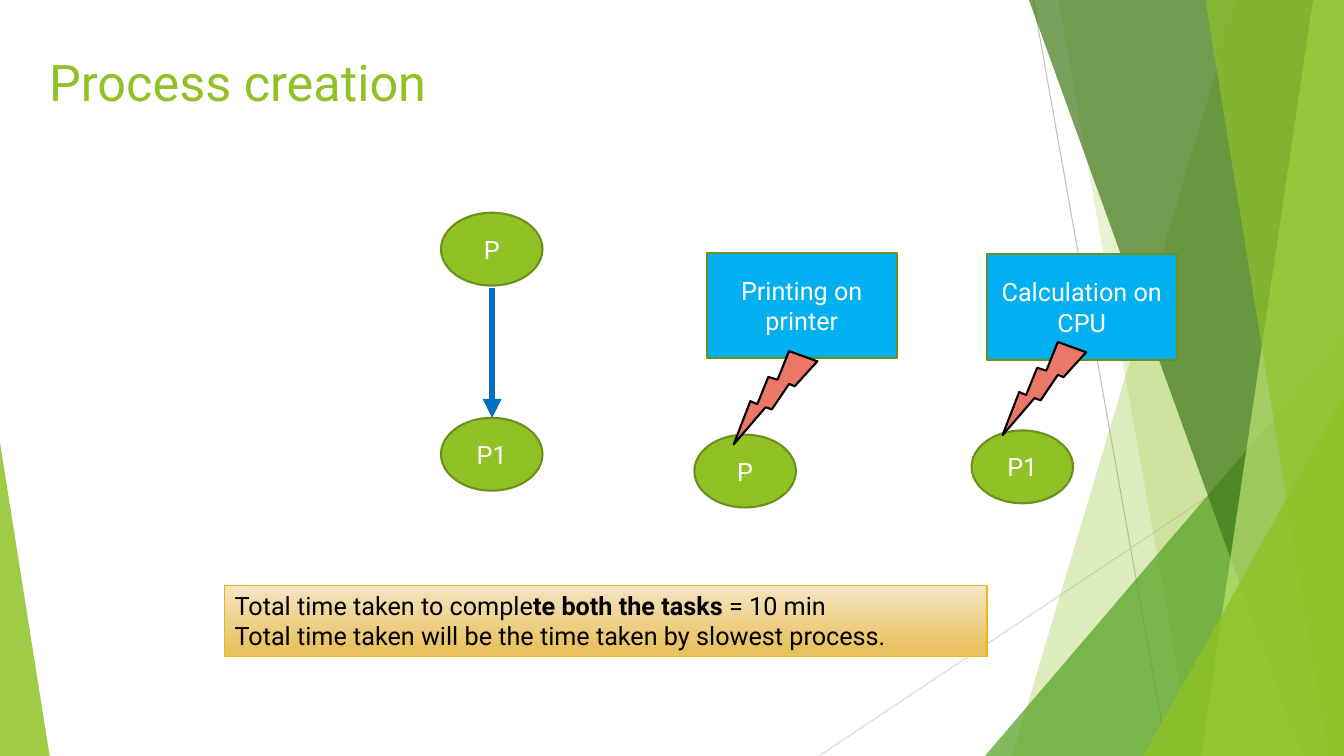
from lxml.etree import SubElement
from pptx import Presentation
from pptx.dml.color import RGBColor
from pptx.enum.shapes import MSO_CONNECTOR as LINK, MSO_SHAPE as KIND
from pptx.enum.text import MSO_ANCHOR as ANCHOR, MSO_AUTO_SIZE as FIT, PP_ALIGN as ALIGN
from pptx.oxml.ns import qn
from pptx.util import Pt

WIDTH, HEIGHT = 960, 540
GREEN, DARK_GREEN, BLUE, WHITE, BLACK = "90C226", "6B901C", "00B0F0", "FFFFFF", "000000"
color = RGBColor.from_string


def paint(shape, fill, line=None, alpha=100):
    shape.shadow.inherit = False
    shape.fill.solid()
    shape.fill.fore_color.rgb = color(fill)
    if alpha < 100:
        tint = shape.fill._xPr.find(f".//{qn('a:srgbClr')}")
        SubElement(tint, qn("a:alpha"), val=str(alpha * 1000))
    if line:
        shape.line.color.rgb = color(line)
        shape.line.width = Pt(1.5)
    else:
        shape.line.fill.background()


def write(shape, paragraphs, ink, size=18, align=ALIGN.CENTER, anchor=ANCHOR.MIDDLE):
    frame = shape.text_frame
    for name, value in {"word_wrap": True, "vertical_anchor": anchor}.items():
        setattr(frame, name, value)
    for index, pieces in enumerate(paragraphs):
        paragraph = frame.add_paragraph() if index else frame.paragraphs[0]
        paragraph.alignment = align
        for words, bold in pieces:
            run = paragraph.add_run()
            run.text = words
            run.font.color.rgb = color(ink)
            for name, value in {"name": "Roboto", "size": Pt(size), "bold": bold}.items():
                setattr(run.font, name, value)


deck = Presentation()
deck.slide_width, deck.slide_height = Pt(WIDTH), Pt(HEIGHT)
slide = deck.slides.add_slide(deck.slide_layouts[6])
shapes = slide.shapes

# Thin background lines, then the arrow from parent to child, kept for later
for x1, y1, x2, y2, ink in [(738, 0, 834, HEIGHT, "BFBFBF"), (WIDTH, 290, 585, HEIGHT, "D9D9D9")]:
    ray = shapes.add_connector(LINK.STRAIGHT, Pt(x1), Pt(y1), Pt(x2), Pt(y2))
    ray.line.color.rgb = color(ink)
    ray.line.width = Pt(0.75)
    SubElement(ray._element.spPr, qn("a:effectLst"))

# Background facets: bands by top and bottom x, triangles by box and apex
facets = [
    ("band", (884, 723), GREEN, 30),
    ("band", (756, 852), GREEN, 20),
    ("triangle", (703.5, 240, 256.5, 300, 1), "54A021", 72),
    ("band", (735, 929.5), "3F7819", 70),
    ("band", (938, 858), "C0E474", 70),
    ("band", (861, 949), GREEN, 65),
    ("triangle", (816.5, 283, 143.5, 257, 1), GREEN, 80),
    ("triangle", (0, 316, 35.5, 224, 0), GREEN, 85),
]
for kind, outline, fill, alpha in facets:
    if kind == "band":
        top_x, bottom_x = outline
        builder = shapes.build_freeform(top_x, 0, scale=Pt(1))
        builder.add_line_segments([(WIDTH, 0), (WIDTH, HEIGHT), (bottom_x, HEIGHT)])
        facet = builder.convert_to_shape()
    else:
        *box, apex = outline
        facet = shapes.add_shape(KIND.ISOSCELES_TRIANGLE, *map(Pt, box))
        facet.adjustments[0] = apex
    paint(facet, fill, alpha=alpha)

# Title
title = shapes.add_textbox(Pt(28), Pt(33), Pt(677), Pt(104))
write(title, [[("Process creation", False)]], GREEN, 36, ALIGN.LEFT, ANCHOR.TOP)

# Processes
for label, left, top in [("P", 315, 152), ("P1", 315, 298.5), ("P", 496, 310.5), ("P1", 694, 307.5)]:
    process = shapes.add_shape(KIND.OVAL, Pt(left), Pt(top), Pt(72.5), Pt(52))
    paint(process, GREEN, DARK_GREEN)
    write(process, [[(label, False)]], WHITE)

# Arrow from parent to child
fork = shapes.add_connector(LINK.STRAIGHT, Pt(351.5), Pt(206), Pt(351.5), Pt(298.5))
fork.line.color.rgb = color("0070C0")
fork.line.width = Pt(4.5)
SubElement(fork.line._get_or_add_ln(), qn("a:tailEnd"), type="triangle")
SubElement(fork._element.spPr, qn("a:effectLst"))

# Tasks, each with a bolt to its process
tasks = [
    ("Printing on printer", 505, 180.5, 530, 240.5),
    ("Calculation on CPU", 705, 181.5, 722, 234),
]
for label, left, top, bolt_left, bolt_top in tasks:
    task = shapes.add_shape(KIND.RECTANGLE, Pt(left), Pt(top), Pt(135.5), Pt(75.5))
    paint(task, BLUE, DARK_GREEN)
    write(task, [[(label, False)]], WHITE)
    bolt = shapes.add_shape(KIND.LIGHTNING_BOLT, Pt(bolt_left), Pt(bolt_top), Pt(40.5), Pt(80.5))
    bolt.rotation = 62.2
    paint(bolt, "EB7766", BLACK)

# Conclusion
conclusion = shapes.add_shape(KIND.RECTANGLE, Pt(160.5), Pt(418), Pt(544.5), Pt(51))
conclusion.shadow.inherit = False
conclusion.fill.gradient()
conclusion.fill.gradient_angle = 270
for stop, (position, shade) in zip(conclusion.fill.gradient_stops, [(0, "F5E5C5"), (0.88, "E9C260")]):
    stop.position = position
    stop.color.rgb = color(shade)
conclusion.line.color.rgb = color("E6B91E")
conclusion.line.width = Pt(1)
write(conclusion, [
    [("Total time taken to comple", False), ("te both the tasks ", True), ("= 10 min", False)],
    [("Total time taken will be the time taken by slowest process.", False)],
], BLACK, align=ALIGN.LEFT, anchor=ANCHOR.TOP)
conclusion.text_frame.auto_size = FIT.SHAPE_TO_FIT_TEXT

deck.save("out.pptx")
